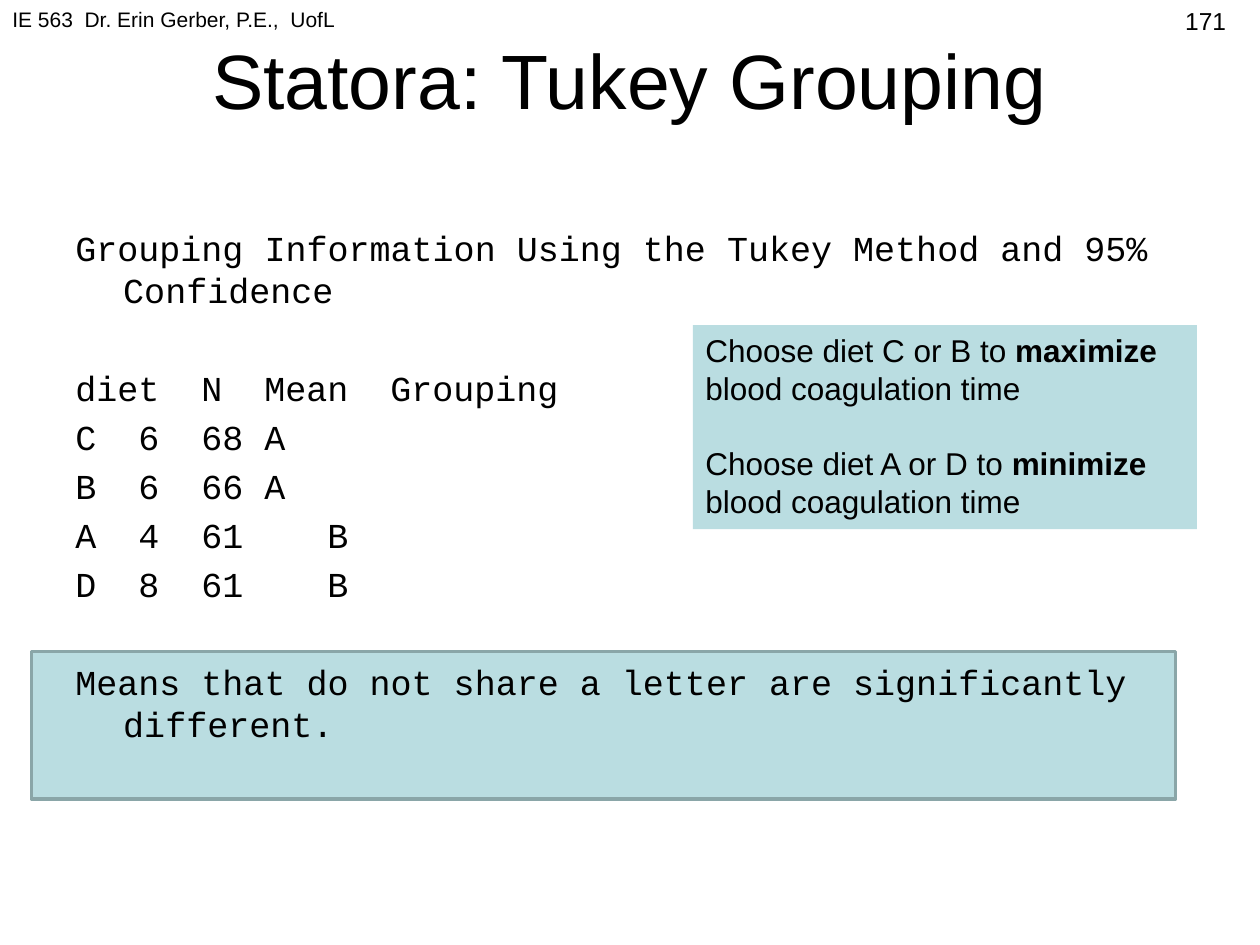
import pptx
import pptx.util
import pptx.dml.color
import pptx.enum.shapes
import pptx.enum.text
from dataclasses import dataclass
from lxml import etree
from pptx.util import Inches

ALIGN = pptx.enum.text.PP_ALIGN
ANCHOR = pptx.enum.text.MSO_ANCHOR
RECT = pptx.enum.shapes.MSO_SHAPE.RECTANGLE


@dataclass(frozen=True)
class Theme:
    text: str = "000000"
    panel: str = "BADDE1"
    border: str = "8AA6A8"
    sans: str = "Arial"
    mono: str = "Courier New"
    title: int = 44
    output: int = 20
    note: int = 18
    number: int = 14
    header: int = 12


def rgb(value):
    return pptx.dml.color.RGBColor.from_string(value)


class SlideBuilder:
    def __init__(self, slide, theme):
        self.slide = slide
        self.theme = theme

    def style(self, p, size, font):
        p.font.size = pptx.util.Pt(size)
        p.font.name = font
        p.font.color.rgb = rgb(self.theme.text)

    def panel(self, x, y, w, h, border=False):
        sp = self.slide.shapes.add_shape(RECT, Inches(x), Inches(y), Inches(w), Inches(h))
        sp.shadow.inherit = False
        sp.fill.solid()
        sp.fill.fore_color.rgb = rgb(self.theme.panel)
        if border:
            sp.line.color.rgb = rgb(self.theme.border)
            sp.line.width = pptx.util.Pt(2)
        else:
            sp.line.fill.background()
        return sp

    def text_box(self, x, y, w, h, anchor=ANCHOR.TOP):
        sp = self.slide.shapes.add_textbox(Inches(x), Inches(y), Inches(w), Inches(h))
        tf = sp.text_frame
        tf.word_wrap = True
        tf.vertical_anchor = anchor
        return tf

    def label(self, text, x, y, w, h, size, align=ALIGN.LEFT, anchor=ANCHOR.TOP):
        p = self.text_box(x, y, w, h, anchor).paragraphs[0]
        p.text = text
        p.alignment = align
        self.style(p, size, self.theme.sans)

    def note(self, choices, x, y, w, h):
        tf = self.panel(x, y, w, h).text_frame
        tf.word_wrap = True
        tf.vertical_anchor = ANCHOR.TOP
        for i, parts in enumerate(choices):
            p = tf.add_paragraph() if i else tf.paragraphs[0]
            p.alignment = ALIGN.LEFT
            p.space_before = pptx.util.Pt(21.5 if i else 0)
            self.style(p, self.theme.note, self.theme.sans)
            for j, part in enumerate(parts):
                r = p.add_run()
                r.text = part
                r.font.bold = j == 1

    def output_line(self, p, text, before, tabs=(), hanging=0):
        p.text = text
        p_pr = p._p.get_or_add_pPr()
        p_pr.set("marL", str(Inches(hanging)))
        p_pr.set("indent", str(-Inches(hanging)))
        if tabs:
            ns = pptx.oxml.ns.qn
            tab_list = etree.SubElement(p_pr, ns("a:tabLst"))
            for pos, align in tabs:
                etree.SubElement(tab_list, ns("a:tab"), pos=str(Inches(pos)), algn=align)
        p.space_before = pptx.util.Pt(before)
        self.style(p, self.theme.output, self.theme.mono)

    def output(self, heading, rows, footnote, x, y, w, h):
        tabs = ((1, "l"), (2.17, "r"), (2.5, "l"), (3.83, "r"))
        tf = self.text_box(x, y, w, h)
        self.output_line(tf.paragraphs[0], heading, 0, hanging=0.38)
        for i, row in enumerate(rows):
            self.output_line(tf.add_paragraph(), "\t".join(row), 4 if i else 32, tabs)
        self.output_line(tf.add_paragraph(), footnote, 32, hanging=0.38)


def main():
    prs = pptx.Presentation()
    prs.slide_width, prs.slide_height = Inches(10), Inches(7.5)
    theme = Theme()
    s = SlideBuilder(prs.slides.add_slide(prs.slide_layouts[6]), theme)

    s.panel(0.25, 5.17, 9.08, 1.17, border=True)
    s.label("Statora: Tukey Grouping", 0.5, 0, 9, 1.25, theme.title,
            ALIGN.CENTER, ANCHOR.MIDDLE)
    s.output(
        "Grouping Information Using the Tukey Method and 95% Confidence",
        [
            ("diet", "N", "Mean", "Grouping"),
            ("C", "6", "68", "A"),
            ("B", "6", "66", "A"),
            ("A", "4", "61", "", "B"),
            ("D", "8", "61", "", "B"),
        ],
        "Means that do not share a letter are significantly different.",
        0.5, 1.75, 9, 4.95,
    )
    s.label("IE 563  Dr. Erin Gerber, P.E.,  UofL", 0, 0, 4.17, 0.52, theme.header)
    s.label("171", 7.5, 0, 2.33, 0.52, theme.number, ALIGN.RIGHT)
    s.note(
        [
            ("Choose diet C or B to ", "maximize", " blood coagulation time"),
            ("Choose diet A or D to ", "minimize", " blood coagulation time"),
        ],
        5.5, 2.58, 4, 1.62,
    )
    prs.save("out.pptx")


if __name__ == "__main__":
    main()
